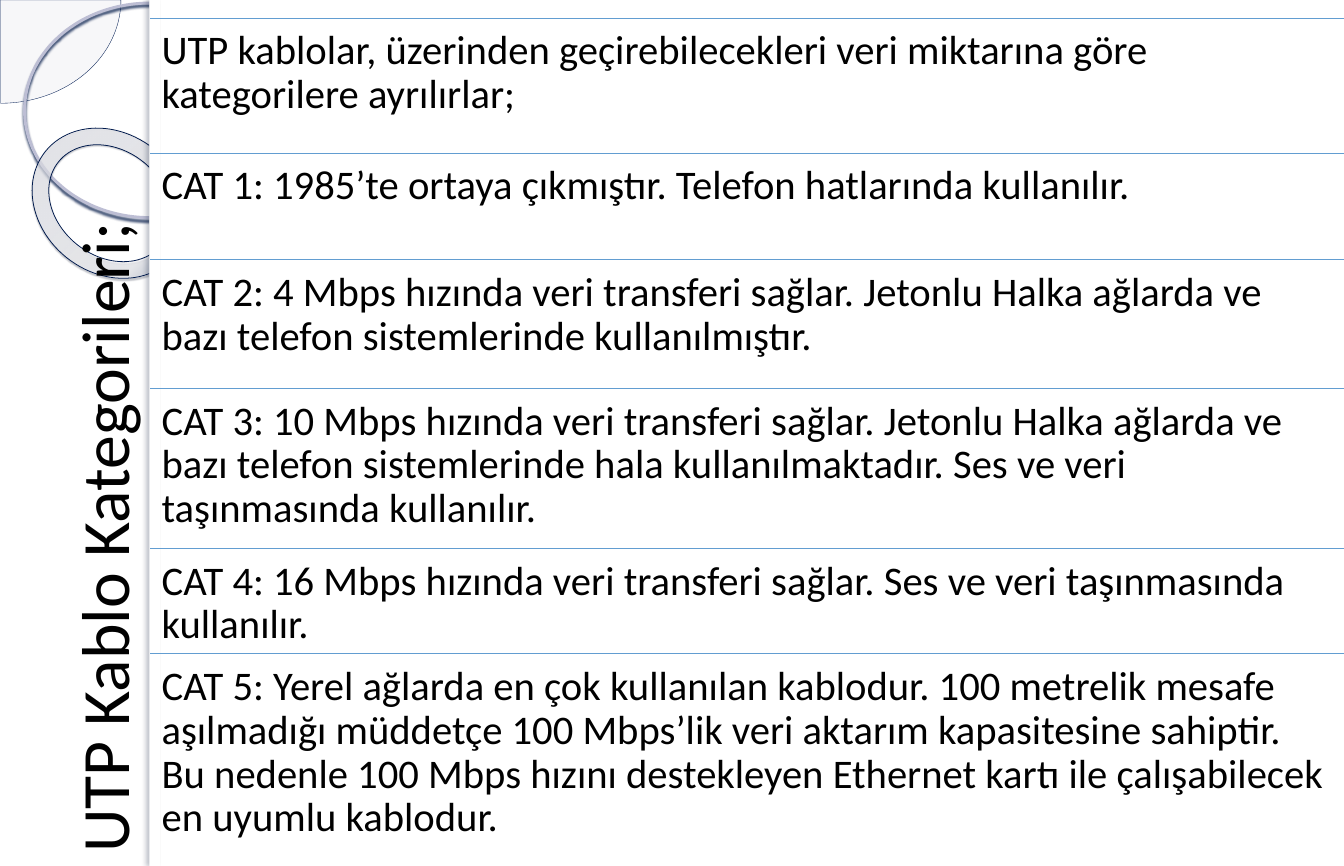
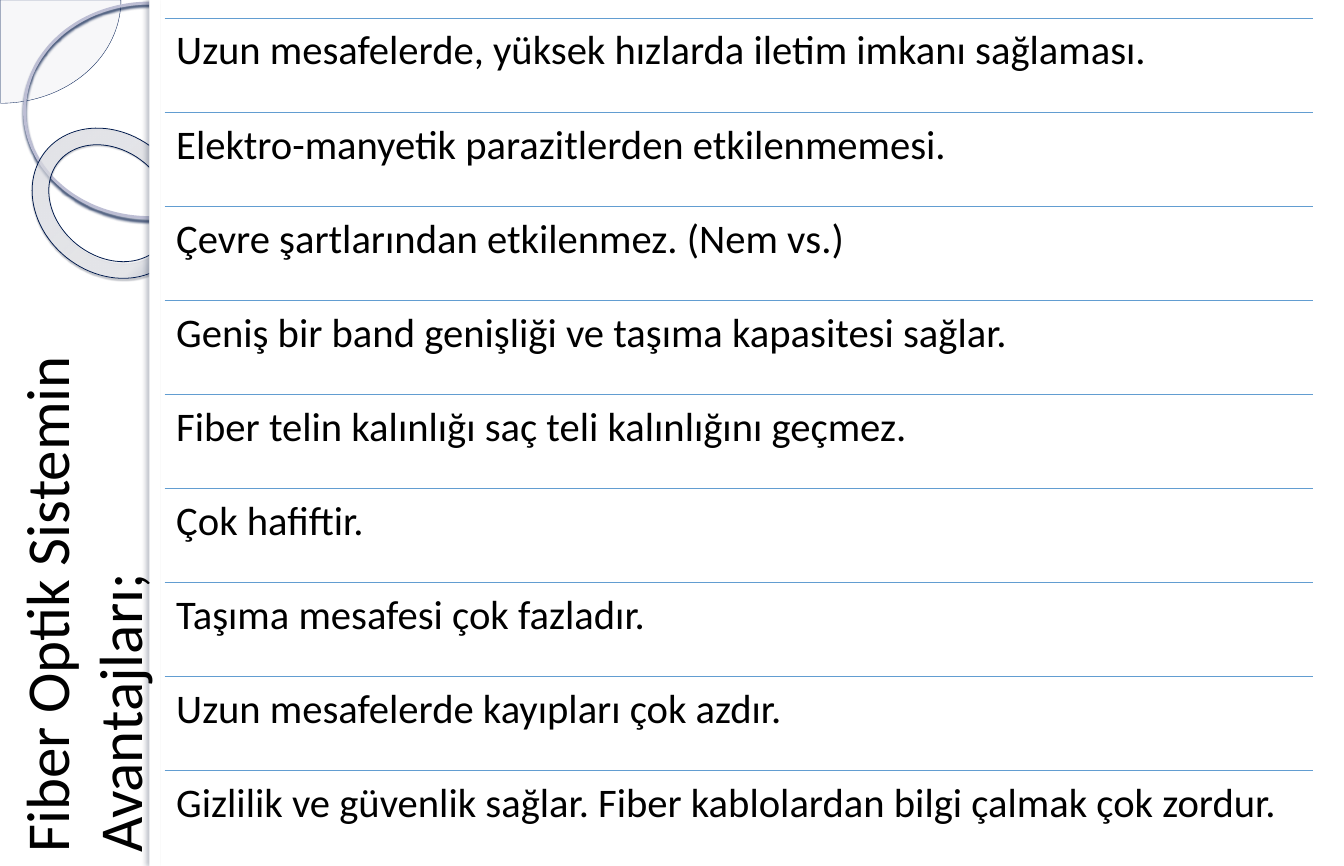
"""Build two Turkish slides on network cables with a rotated title and ruled rows."""
from dataclasses import dataclass

from lxml import etree
from pptx import Presentation
from pptx.dml.color import RGBColor
from pptx.enum import shapes, text
from pptx.oxml.ns import qn
from pptx.util import Cm, Pt

SLIDES = [
    {
        "title": "UTP Kablo Kategorileri;",
        "title_size": 50, "title_x": 2.67, "title_height": 3.15,
        "left": 3.91, "width": 31.09,
        "rows": [
            ("UTP kablolar, üzerinden geçirebilecekleri veri miktarına göre "
             "kategorilere ayrılırlar;", 3.51),
            ("CAT 1: 1985’te ortaya çıkmıştır. Telefon hatlarında kullanılır.", 2.78),
            ("CAT 2: 4 Mbps hızında veri transferi sağlar. Jetonlu Halka ağlarda ve "
             "bazı telefon sistemlerinde kullanılmıştır.", 3.35),
            ("CAT 3: 10 Mbps hızında veri transferi sağlar. Jetonlu Halka ağlarda ve "
             "bazı telefon sistemlerinde hala kullanılmaktadır. Ses ve veri "
             "taşınmasında kullanılır.", 4.17),
            ("CAT 4: 16 Mbps hızında veri transferi sağlar. Ses ve veri taşınmasında "
             "kullanılır.", 2.74),
            ("CAT 5: Yerel ağlarda en çok kullanılan kablodur. 100 metrelik mesafe "
             "aşılmadığı müddetçe 100 Mbps’lik veri aktarım kapasitesine sahiptir. "
             "Bu nedenle 100 Mbps hızını destekleyen Ethernet kartı ile çalışabilecek "
             "en uyumlu kablodur.", 4.78),
        ],
    },
    {
        "title": "Fiber Optik Sistemin\vAvantajları;",
        "title_size": 45, "title_x": 2.13, "title_height": 4.27,
        "left": 4.29, "width": 29.9,
        "rows": [(line, 2.45) for line in (
            "Uzun mesafelerde, yüksek hızlarda iletim imkanı sağlaması.",
            "Elektro-manyetik parazitlerden etkilenmemesi.",
            "Çevre şartlarından etkilenmez. (Nem vs.)",
            "Geniş bir band genişliği ve taşıma kapasitesi sağlar.",
            "Fiber telin kalınlığı saç teli kalınlığını geçmez.",
            "Çok hafiftir.",
            "Taşıma mesafesi çok fazladır.",
            "Uzun mesafelerde kayıpları çok azdır.",
            "Gizlilik ve güvenlik sağlar. Fiber kablolardan bilgi çalmak çok zordur.",
        )],
    },
]


@dataclass(frozen=True)
class Theme:
    font: str = "Calibri"
    body_size: int = 30
    ink: str = "000000"
    paper: str = "FFFFFF"
    rule: str = "629DD1"
    pie: str = "E9E9EE"
    pie_line: str = "001B52"
    ring_line: str = "BDBED4"
    ring_shadow: str = "001847"
    donut_line: str = "001A4D"
    donut_shadow: str = "000C23"
    donut_stops: tuple = ((0, "F1F1F5", 70), (70, "F7F7FA", 55), (100, "001C55", 60))
    edge_shadow: str = "001030"


THEME = Theme()
SLIDE_W, SLIDE_H = 35, 22.56
PANEL_LEFT, EDGE_W = 3.89, 0.28
ROWS_TOP, ROW_INSET = 0.48, 0.3
TITLE_LENGTH, TITLE_Y = 28.7, 8.2


def add_color(parent, color, opacity):
    clr = etree.SubElement(parent, qn("a:srgbClr"), val=color)
    etree.SubElement(clr, qn("a:alpha"), val=str(opacity * 1000))


def add_shadow(sp, color, opacity, blur, dist, angle):
    effects = sp.element.spPr.find(qn("a:effectLst"))
    shadow = etree.SubElement(
        effects, qn("a:outerShdw"), blurRad=str(Pt(blur)), dist=str(Pt(dist)),
        dir=str(angle * 60000), algn="ctr", rotWithShape="0")
    add_color(shadow, color, opacity)


def set_radial_fill(sp, stops):
    grad = etree.Element(qn("a:gradFill"), rotWithShape="1")
    stop_list = etree.SubElement(grad, qn("a:gsLst"))
    for pos, color, opacity in stops:
        add_color(etree.SubElement(stop_list, qn("a:gs"), pos=str(pos * 1000)), color, opacity)
    circle = etree.SubElement(grad, qn("a:path"), path="circle")
    etree.SubElement(circle, qn("a:fillToRect"),
                     l="-408000", t="-50000", r="508000", b="150000")
    spPr = sp.element.spPr
    spPr.replace(spPr.find(qn("a:solidFill")), grad)


def add_decor(s, kind, box, fill=None, line=None, line_width=0):
    sp = s.shapes.add_shape(kind, *(Cm(v) for v in box))
    sp.shadow.inherit = False
    if fill:
        sp.fill.solid()
        sp.fill.fore_color.rgb = RGBColor.from_string(fill)
    else:
        sp.fill.background()
    if line:
        sp.line.color.rgb = RGBColor.from_string(line)
        sp.line.width = Pt(line_width)
    else:
        sp.line.fill.background()
    return sp


def decorate_layout(s):
    kinds = shapes.MSO_SHAPE
    pie = add_decor(s, kinds.PIE, (-3.12, -2.69, 6.27, 5.38),
                    THEME.pie, THEME.pie_line, 0.25)
    pie.adjustments[0], pie.adjustments[1] = 0, 54.02
    pie_color = pie.element.spPr.find(qn("a:solidFill"))[0]
    etree.SubElement(pie_color, qn("a:alpha"), val="33000")

    ring = add_decor(s, kinds.OVAL, (0.64, 0.08, 6.53, 5.59), None, THEME.ring_line, 2.15)
    add_shadow(ring, THEME.ring_shadow, 85, 2, 2, 90)

    donut = add_decor(s, kinds.DONUT, (0.71, 3.48, 4.32, 3.63),
                      THEME.paper, THEME.donut_line, 0.58)
    donut.adjustments[0] = 0.12
    donut.rotation = 38.6
    set_radial_fill(donut, THEME.donut_stops)
    add_shadow(donut, THEME.donut_shadow, 35, 1, 1.2, 75)

    panel = add_decor(s, kinds.RECTANGLE,
                      (PANEL_LEFT, 0, SLIDE_W - PANEL_LEFT, SLIDE_H), THEME.paper)
    edge = add_decor(s, kinds.RECTANGLE, (PANEL_LEFT, 0, EDGE_W, SLIDE_H), THEME.paper)
    add_shadow(edge, THEME.edge_shadow, 25, 3, 3, 180)

    tree = s.slide_layout.shapes.element
    for sp in (pie, ring, donut, panel, edge):
        tree.append(sp.element)


def format_text(p, size):
    p.alignment = text.PP_ALIGN.LEFT
    for r in p.runs:
        r.font.name = THEME.font
        r.font.size = Pt(size)
        r.font.color.rgb = RGBColor.from_string(THEME.ink)


def set_title(s, content):
    sp = s.shapes.title
    height = content["title_height"]
    sp.left, sp.top = Cm(content["title_x"] - TITLE_LENGTH / 2), Cm(TITLE_Y - height / 2)
    sp.width, sp.height = Cm(TITLE_LENGTH), Cm(height)
    sp.rotation = 270
    tf = sp.text_frame
    tf.text = content["title"]
    tf.auto_size = text.MSO_AUTO_SIZE.NONE
    tf.vertical_anchor = text.MSO_ANCHOR.MIDDLE
    tf.margin_left = tf.margin_right = Cm(0.33)
    tf.margin_top = tf.margin_bottom = Cm(0.15)
    format_text(tf.paragraphs[0], content["title_size"])


def add_row(s, line, left, top, width, height):
    x, y, w = Cm(left), Cm(top), Cm(width)
    rule = s.shapes.add_connector(shapes.MSO_CONNECTOR.STRAIGHT, x, y, x + w, y)
    rule.line.color.rgb = RGBColor.from_string(THEME.rule)
    rule.line.width = Pt(0.75)
    etree.SubElement(rule.element.spPr, qn("a:effectLst"))

    tf = s.shapes.add_textbox(x, y, w, Cm(height)).text_frame
    tf.word_wrap = True
    tf.margin_left = tf.margin_right = tf.margin_top = tf.margin_bottom = Cm(ROW_INSET)
    tf.text = line
    p = tf.paragraphs[0]
    p.line_spacing = 0.9
    format_text(p, THEME.body_size)


def main():
    prs = Presentation()
    prs.slide_width, prs.slide_height = Cm(SLIDE_W), Cm(SLIDE_H)
    layout = prs.slide_layouts.get_by_name("Title Only")
    for i, content in enumerate(SLIDES):
        s = prs.slides.add_slide(layout)
        if i == 0:
            decorate_layout(s)
        set_title(s, content)
        top = ROWS_TOP
        for line, height in content["rows"]:
            add_row(s, line, content["left"], top, content["width"], height)
            top += height
    prs.save("out.pptx")


if __name__ == "__main__":
    main()
